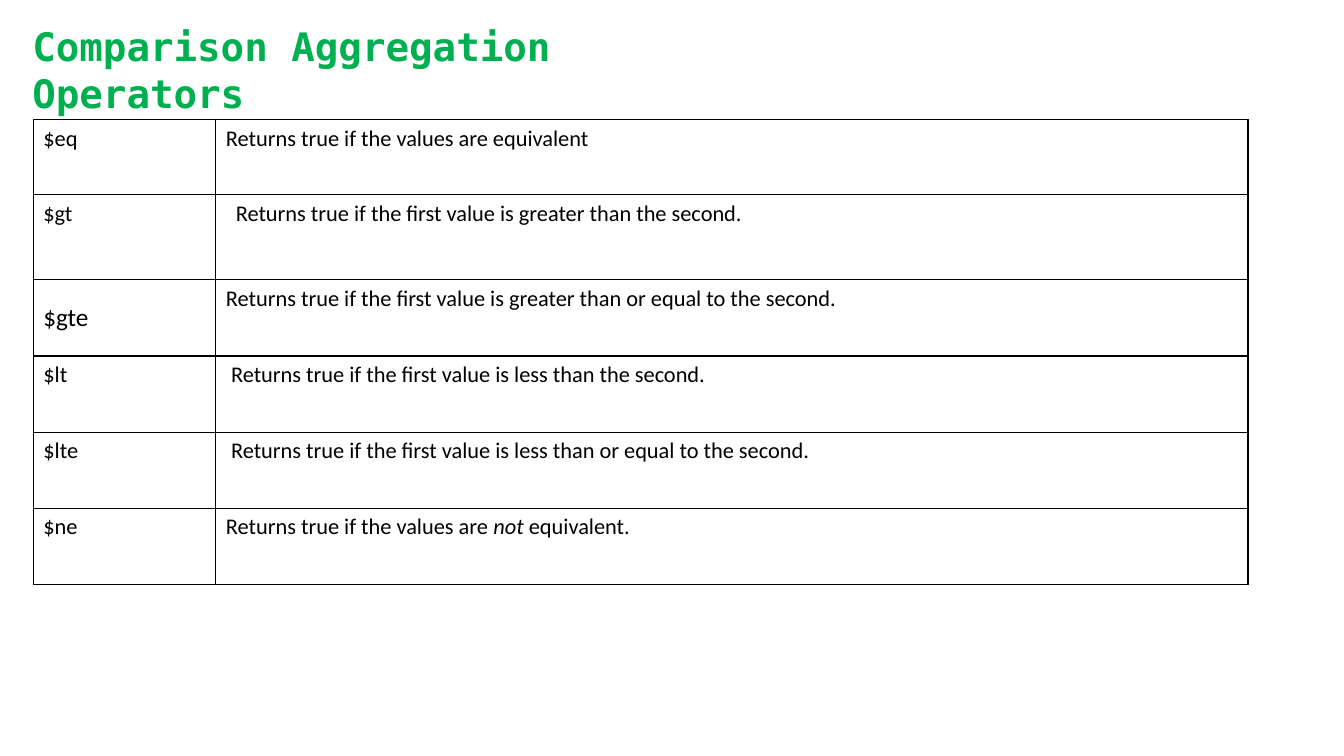
from dataclasses import dataclass

from lxml.etree import SubElement
from pptx import Presentation
from pptx.dml.color import RGBColor
from pptx.enum.text import MSO_ANCHOR as Anchor, PP_ALIGN as Align
from pptx.oxml.ns import qn
from pptx.util import Cm, Pt


@dataclass(frozen=True)
class Theme:
    title_color: str = "00B050"
    text_color: str = "000000"
    border_color: str = "000000"
    title_font: str = "DejaVu Sans Mono"
    body_font: str = "Calibri"
    title_size: int = 28
    body_size: int = 16
    large_size: int = 18
    border_width: int = 1


theme = Theme()


def add_run(paragraph, text, font, size, color, bold=False, italic=False):
    run = paragraph.add_run()
    run.text = text
    run.font.name = font
    run.font.size = Pt(size)
    run.font.bold = bold
    run.font.italic = italic
    run.font.color.rgb = RGBColor.from_string(color)


def add_borders(cell):
    properties = cell._tc.get_or_add_tcPr()
    for side in ("a:lnL", "a:lnR", "a:lnT", "a:lnB"):
        line = SubElement(properties, qn(side), w=str(Pt(theme.border_width)))
        fill = SubElement(line, qn("a:solidFill"))
        SubElement(fill, qn("a:srgbClr"), val=theme.border_color)


presentation = Presentation()
presentation.slide_width = Cm(33.87)
presentation.slide_height = Cm(19.05)
slide = presentation.slides.add_slide(presentation.slide_layouts[5])

# Title
title = slide.shapes.title
title.left, title.top, title.width, title.height = Cm(0.56), Cm(0.43), Cm(18.31), Cm(1.45)
title.text_frame.word_wrap = True
title.text_frame.vertical_anchor = Anchor.TOP
paragraph = title.text_frame.paragraphs[0]
paragraph.alignment = Align.LEFT
add_run(paragraph, "Comparison Aggregation Operators", theme.title_font,
        theme.title_size, theme.title_color, bold=True)

# Operators: name, row height, indent of the description, (text, italic) runs
operators = [
    ("$eq", 1.89, 0, [("Returns true if the values are equivalent", False)]),
    ("$gt", 2.14, 0.25, [("Returns true if the first value is greater than the second.", False)]),
    ("$gte", 1.92, 0, [("Returns true if the first value is greater than or equal to the second.", False)]),
    ("$lt", 1.92, 0.13, [("Returns true if the first value is less than the second.", False)]),
    ("$lte", 1.92, 0.13, [("Returns true if the first value is less than or equal to the second.", False)]),
    ("$ne", 1.92, 0, [("Returns true if the values are ", False), ("not", True), (" equivalent.", False)]),
]
column_widths = [4.6, 26.01]

# Table
table_height = sum(height for _, height, _, _ in operators)
table = slide.shapes.add_table(len(operators), len(column_widths), Cm(0.84), Cm(3.02),
                               Cm(sum(column_widths)), Cm(table_height)).table
table.first_row = False
table.horz_banding = False
for column, width in zip(table.columns, column_widths):
    column.width = Cm(width)

for row, (name, height, indent, description) in zip(table.rows, operators):
    row.height = Cm(height)
    for cell in row.cells:
        add_borders(cell)
        cell.fill.background()
    name_cell, description_cell = row.cells

    # The $gte name is larger and centred in its row
    name_size = theme.body_size
    if name == "$gte":
        name_size = theme.large_size
        name_cell.vertical_anchor = Anchor.MIDDLE
    add_run(name_cell.text_frame.paragraphs[0], name, theme.body_font, name_size, theme.text_color)

    paragraph = description_cell.text_frame.paragraphs[0]
    if indent:
        paragraph._p.get_or_add_pPr().set("marL", str(Cm(indent)))
    for text, italic in description:
        add_run(paragraph, text, theme.body_font, theme.body_size, theme.text_color, italic=italic)

presentation.save("out.pptx")
